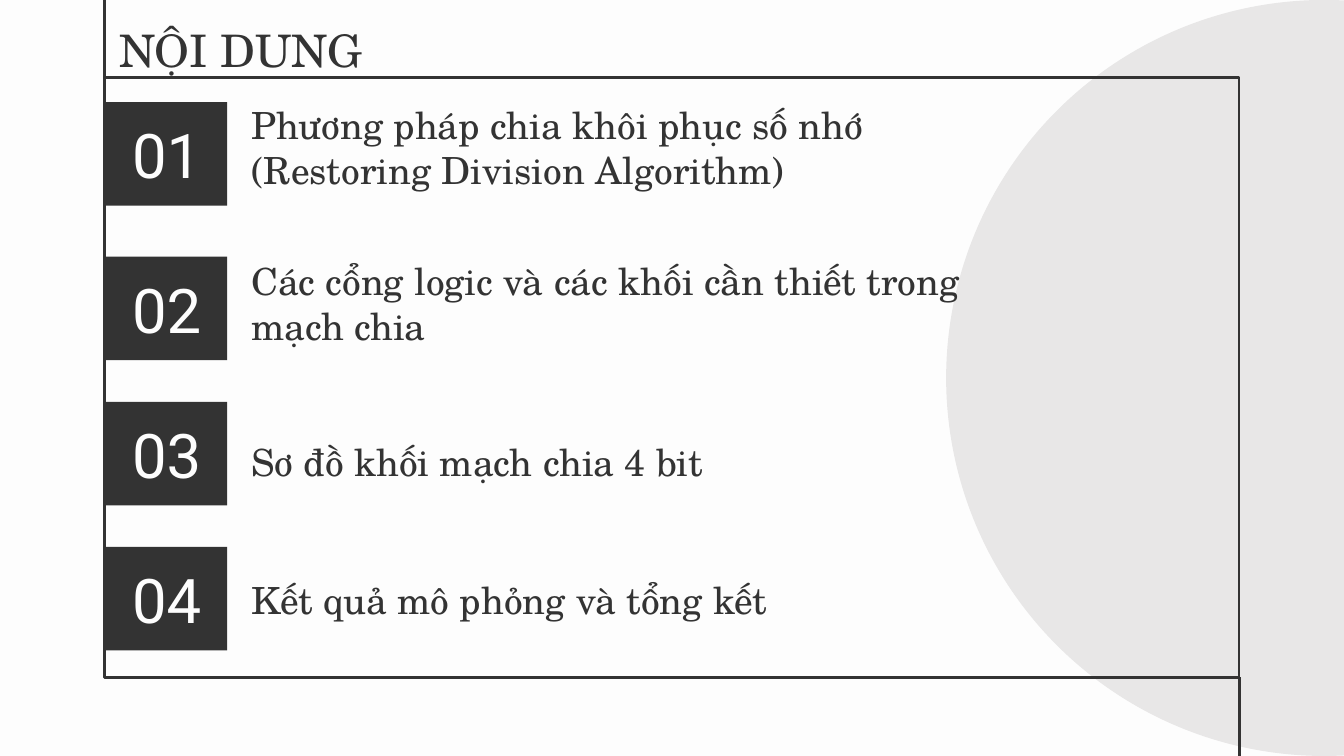
from dataclasses import dataclass

from lxml.etree import SubElement
from pptx import Presentation
from pptx.dml.color import RGBColor
from pptx.enum.shapes import MSO_CONNECTOR, MSO_SHAPE
from pptx.enum.text import MSO_ANCHOR, PP_ALIGN
from pptx.oxml.ns import qn
from pptx.shapes.autoshape import Shape
from pptx.slide import Slide
from pptx.text.text import TextFrame
from pptx.util import Inches, Pt

COLORS = {"paper": "FDFDFD", "ink": "333333", "circle": "E8E7E7"}
SERIF, SANS = "TeX Gyre Schola", "Roboto"
WIDTH = 10
HEIGHT = WIDTH * 9 / 16
FRAME_LEFT, FRAME_TOP, FRAME_RIGHT, FRAME_BOTTOM = 0.78, 0.58, 9.22, 5.04
BADGE_LEFT, BADGE_WIDTH, BADGE_HEIGHT = 0.79, 0.9, 0.77
TOPIC_LEFT = 1.77


@dataclass
class Topic:
    lines: list[str]
    badge_top: float
    top: float
    width: float
    height: float


TOPICS = [
    Topic(["Phương pháp chia khôi phục số nhớ", "(Restoring Division Algorithm)"],
          0.76, 0.49, 6.71, 1.04),
    Topic(["Các cổng logic và các khối cần thiết trong mạch chia"],
          1.91, 1.34, 6.07, 1.35),
    Topic(["Sơ đồ khối mạch chia 4 bit"], 2.99, 2.81, 7.47, 0.89),
    Topic(["Kết quả mô phỏng và tổng kết"], 4.07, 3.84, 6.48, 0.89),
]


def color(name: str) -> RGBColor:
    return RGBColor.from_string(COLORS[name])


def write(frame: TextFrame, lines: list[str], size: float, font: str, ink: str,
          align: PP_ALIGN, anchor: MSO_ANCHOR) -> None:
    frame.word_wrap = True
    frame.vertical_anchor = anchor
    frame.margin_left = frame.margin_right = Inches(0.1)
    frame.margin_top = frame.margin_bottom = Inches(0.1)
    paragraph = frame.paragraphs[0]
    paragraph.alignment = align
    for index, line in enumerate(lines):
        if index:
            paragraph.add_line_break()
        run = paragraph.add_run()
        run.text = line
        run.font.size = Pt(size)
        run.font.name = font
        run.font.color.rgb = color(ink)


def add_filled(slide: Slide, kind: MSO_SHAPE, left: float, top: float,
               width: float, height: float, fill: str) -> Shape:
    shape = slide.shapes.add_shape(
        kind, Inches(left), Inches(top), Inches(width), Inches(height))
    shape.shadow.inherit = False
    shape.fill.solid()
    shape.fill.fore_color.rgb = color(fill)
    shape.line.fill.background()
    return shape


def add_label(slide: Slide, lines: list[str], left: float, top: float,
              width: float, height: float, size: float) -> None:
    box = slide.shapes.add_textbox(
        Inches(left), Inches(top), Inches(width), Inches(height))
    write(box.text_frame, lines, size, SERIF, "ink", PP_ALIGN.LEFT, MSO_ANCHOR.BOTTOM)


def add_vertical(slide: Slide, x: float, start: float, end: float) -> None:
    rule = slide.shapes.add_connector(
        MSO_CONNECTOR.STRAIGHT, Inches(x), Inches(start), Inches(x), Inches(end))
    rule.line.color.rgb = color("ink")
    rule.line.width = Pt(1.5)
    SubElement(rule._element.spPr, qn("a:effectLst"))


def add_frame(slide: Slide) -> None:
    frame = slide.shapes.add_shape(
        MSO_SHAPE.RECTANGLE, Inches(FRAME_LEFT), Inches(FRAME_TOP),
        Inches(FRAME_RIGHT - FRAME_LEFT), Inches(FRAME_BOTTOM - FRAME_TOP))
    frame.shadow.inherit = False
    frame.fill.background()
    frame.line.color.rgb = color("ink")
    frame.line.width = Pt(1.5)
    add_vertical(slide, FRAME_LEFT, FRAME_TOP, 0)
    add_vertical(slide, FRAME_RIGHT, FRAME_BOTTOM, HEIGHT)


def add_topic(slide: Slide, number: int, topic: Topic) -> None:
    badge = add_filled(slide, MSO_SHAPE.RECTANGLE, BADGE_LEFT, topic.badge_top,
                       BADGE_WIDTH, BADGE_HEIGHT, "ink")
    write(badge.text_frame, [f"{number:02}"], 33, SANS, "paper",
          PP_ALIGN.CENTER, MSO_ANCHOR.MIDDLE)
    add_label(slide, topic.lines, TOPIC_LEFT, topic.top, topic.width, topic.height, 20)


def main() -> None:
    deck = Presentation()
    deck.slide_width, deck.slide_height = Inches(WIDTH), Inches(HEIGHT)
    slide = deck.slides.add_slide(deck.slide_layouts[6])
    slide.background.fill.solid()
    slide.background.fill.fore_color.rgb = color("paper")

    # Backdrop circle and frame
    add_filled(slide, MSO_SHAPE.OVAL, 7.04, 0, HEIGHT, HEIGHT, "circle")
    add_frame(slide)

    # Numbered topics
    for number, topic in enumerate(TOPICS, start=1):
        add_topic(slide, number, topic)

    # Heading
    add_label(slide, ["NỘI DUNG"], BADGE_LEFT, 0.09, 2.15, 0.58, 24)

    deck.save("out.pptx")


if __name__ == "__main__":
    main()
